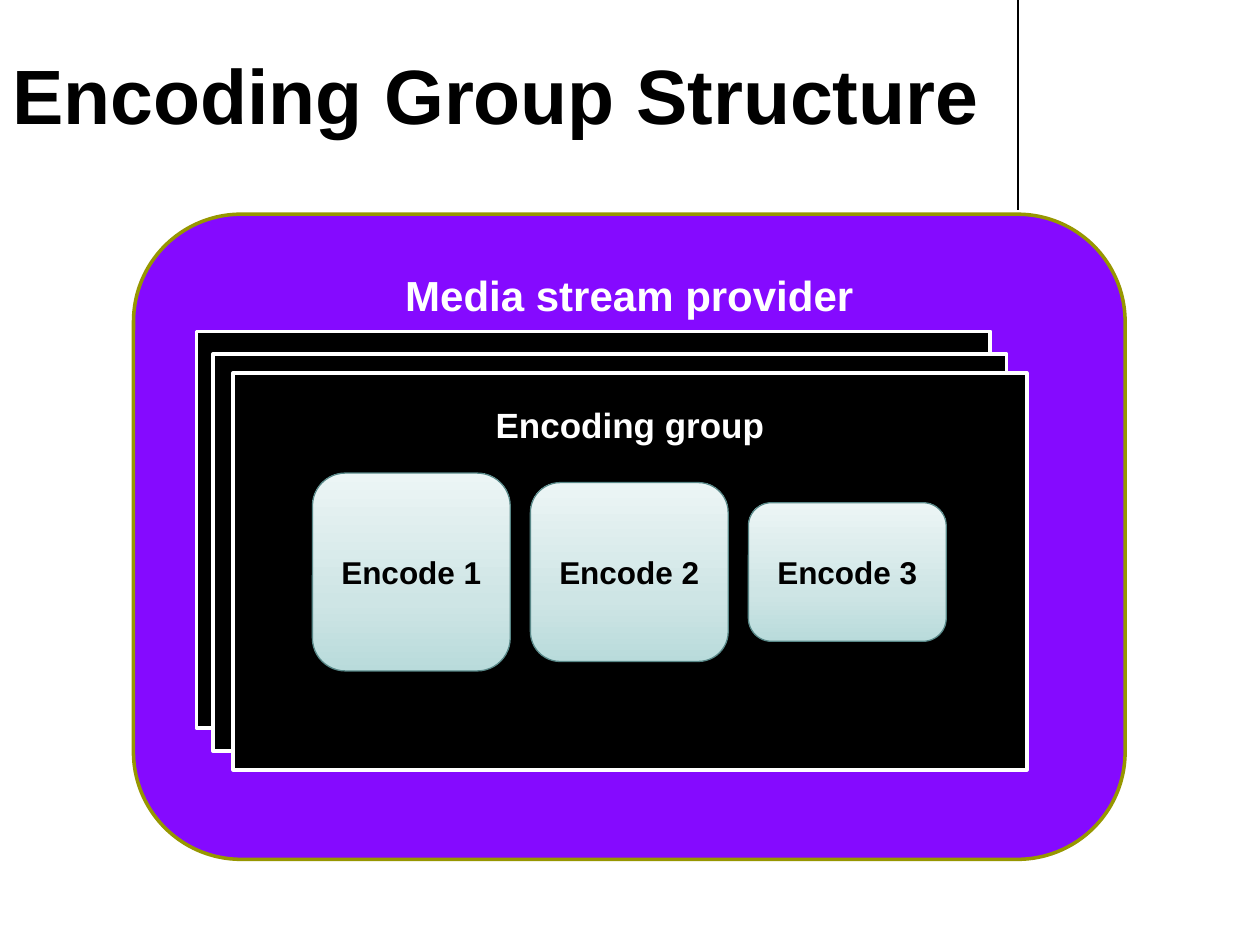
from lxml import etree
from pptx import Presentation
from pptx.dml.color import RGBColor
from pptx.enum.shapes import MSO_CONNECTOR as Connector, MSO_SHAPE as Shape
from pptx.enum.text import MSO_ANCHOR as Anchor, PP_ALIGN as Align
from pptx.oxml import parse_xml
from pptx.oxml.ns import nsdecls, qn
from pptx.util import Inches, Pt

GRADIENT = [(0, "B9DBDB"), (35, "CEE5E5"), (100, "ECF5F5")]


def color(value):
    return RGBColor.from_string(value)


def write(frame, text, size, ink, align, anchor):
    frame.word_wrap = True
    frame.vertical_anchor = anchor
    paragraph = frame.paragraphs[0]
    paragraph.text = text
    paragraph.alignment = align
    font = paragraph.font
    font.name, font.size, font.bold = "Arial", Pt(size), True
    font.color.rgb = color(ink)


def add_title(slide, text):
    title = slide.shapes.title
    title.left, title.top = Inches(0), Inches(0.13)
    title.width, title.height = Inches(8), Inches(1.03)
    write(title.text_frame, text, 44, "000000", Align.LEFT, Anchor.BOTTOM)


def add_rule(slide, x, bottom):
    rule = slide.shapes.add_connector(
        Connector.STRAIGHT, Inches(x), Inches(0), Inches(x), Inches(bottom))
    rule.line.color.rgb = color("000000")
    rule.line.width = Pt(0.75)
    etree.SubElement(rule._element.spPr, qn("a:effectLst"))


def add_box(slide, kind, left, top, width, height, fill, border, weight):
    box = slide.shapes.add_shape(
        kind, Inches(left), Inches(top), Inches(width), Inches(height))
    box.shadow.inherit = False
    box.fill.solid()
    box.fill.fore_color.rgb = color(fill)
    box.line.color.rgb = color(border)
    box.line.width = Pt(weight)
    return box


def add_heading(box, text, size, inset):
    box.text_frame.margin_top = Inches(inset)
    write(box.text_frame, text, size, "FFFFFF", Align.CENTER, Anchor.TOP)


def apply_gradient(box):
    stops = "".join(
        f'<a:gs pos="{position * 1000}"><a:srgbClr val="{shade}"/></a:gs>'
        for position, shade in GRADIENT)
    gradient = parse_xml(
        f'<a:gradFill {nsdecls("a")} rotWithShape="1"><a:gsLst>{stops}</a:gsLst>'
        '<a:lin ang="16200000" scaled="1"/></a:gradFill>')
    properties = box._element.spPr
    properties.replace(properties.find(qn("a:solidFill")), gradient)


def apply_shadow(box):
    effects = box._element.spPr.find(qn("a:effectLst"))
    effects.append(parse_xml(
        f'<a:outerShdw {nsdecls("a")} blurRad="{Pt(3.1)}" dist="{Pt(1.6)}" '
        'dir="5400000" rotWithShape="0"><a:srgbClr val="000000">'
        '<a:alpha val="38000"/></a:srgbClr></a:outerShdw>'))


def add_encode(slide, text, left, middle, height):
    encode = add_box(slide, Shape.ROUNDED_RECTANGLE, left, middle - height / 2,
                     1.57, height, "CEE5E5", "598888", 0.75)
    apply_gradient(encode)
    apply_shadow(encode)
    write(encode.text_frame, text, 18, "000000", Align.CENTER, Anchor.MIDDLE)


def main():
    deck = Presentation()
    deck.slide_width, deck.slide_height = Inches(10), Inches(7.5)
    slide = deck.slides.add_slide(deck.slide_layouts[5])

    add_rule(slide, 8.08, 1.67)
    add_title(slide, "Encoding Group Structure")

    provider = add_box(slide, Shape.ROUNDED_RECTANGLE, 1.06, 1.7, 7.87, 5.12,
                       "850AFF", "979700", 2)
    add_heading(provider, "Media stream provider", 24, 0.19)

    for left, top in [(1.56, 2.63), (1.69, 2.81), (1.85, 2.96)]:
        group = add_box(slide, Shape.RECTANGLE, left, top, 6.3, 3.15,
                        "000000", "FFFFFF", 2)
    add_heading(group, "Encoding group", 20, 0.24)

    for index, height in enumerate([1.57, 1.42, 1.1]):
        add_encode(slide, f"Encode {index + 1}", 2.48 + index * 1.73, 4.54, height)

    deck.save("out.pptx")


if __name__ == "__main__":
    main()
